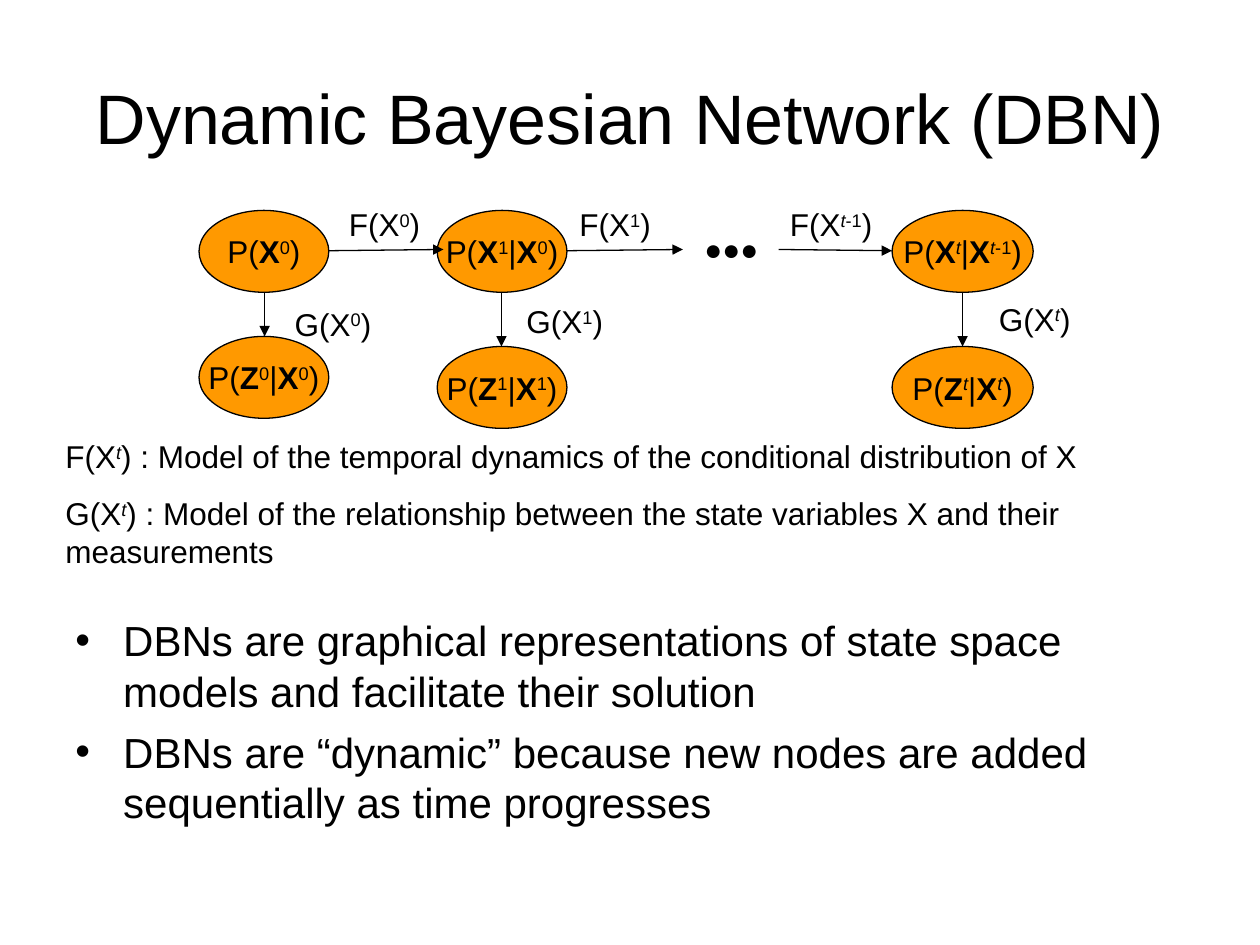
from pptx import Presentation
from pptx.dml.color import RGBColor
from pptx.enum.shapes import MSO_CONNECTOR, MSO_SHAPE
from pptx.enum.text import MSO_ANCHOR, PP_ALIGN
from pptx.oxml.ns import qn
from pptx.util import Inches, Pt
from lxml.etree import SubElement

BLACK = RGBColor(0x00, 0x00, 0x00)
ORANGE = RGBColor(0xFF, 0x99, 0x00)
NODE_TOP, NODE_WIDTH, NODE_HEIGHT = 1.67, 1.03, 0.65

NODES = [
    (1.58, NODE_TOP, NODE_WIDTH, "P(*X*^0^)"),
    (3.47, NODE_TOP, NODE_WIDTH, "P(*X*^1^|*X*^0^)"),
    (7.08, NODE_TOP, 1.12, "P(*X*^*t*^|*X*^*t*-1^)"),
    (1.58, 2.67, NODE_WIDTH, "P(*Z*^0^|*X*^0^)"),
    (3.47, 2.75, NODE_WIDTH, "P(*Z*^1^|*X*^1^)"),
    (7.08, 2.75, 1.12, "P(*Z*^*t*^|*X*^*t*^)"),
]
ARROWS = [
    (2.61, 1.99, 3.52, 1.98),
    (4.5, 1.99, 5.42, 1.98),
    (6.18, 1.98, 7.08, 1.99),
    (2.1, 2.32, 2.1, 2.67),
    (3.98, 2.32, 3.98, 2.75),
    (7.64, 2.32, 7.64, 2.75),
]
LABELS = [
    (2.67, 1.58, "F(X^0^)"),
    (4.5, 1.58, "F(X^1^)"),
    (6.17, 1.58, "F(X^*t*-1^)"),
    (2.24, 2.37, "G(X^0^)"),
    (4.08, 2.35, "G(X^1^)"),
    (7.83, 2.33, "G(X^*t*^)"),
]
DEFINITIONS = [
    "F(X^*t*^) : Model of the temporal dynamics of the conditional distribution of X",
    "G(X^*t*^) : Model of the relationship between the state variables X and their measurements",
]
BULLETS = [
    "DBNs are graphical representations of state space models and facilitate their solution",
    "DBNs are “dynamic” because new nodes are added sequentially as time progresses",
]


def add_spans(paragraph, markup, size):
    """Write markup: ^raised^ text, with *stars* for bold, or italic when raised."""
    for raised_index, part in enumerate(markup.split("^")):
        raised = raised_index % 2 == 1
        for marked_index, text in enumerate(part.split("*")):
            if not text:
                continue
            marked = marked_index % 2 == 1
            span = paragraph.add_run()
            span.text = text
            span.font.name = "Arial"
            span.font.size = Pt(size)
            span.font.color.rgb = BLACK
            span.font.bold = marked and not raised
            span.font.italic = marked and raised
            if raised:
                span.font._element.set("baseline", "30000")


def add_bullet(paragraph):
    """Give a paragraph a round bullet with a hanging indent."""
    properties = paragraph._p.get_or_add_pPr()
    properties.set("marL", str(Inches(0.38)))
    properties.set("indent", str(-Inches(0.38)))
    SubElement(properties, qn("a:buFont")).set("typeface", "Arial")
    SubElement(properties, qn("a:buChar")).set("char", "•")


def add_text(page, left, top, width, height, lines, size=18, align=PP_ALIGN.LEFT,
             anchor=MSO_ANCHOR.TOP, gap=0, bulleted=False):
    """Add a wrapping text box with one paragraph per line."""
    box = page.shapes.add_textbox(Inches(left), Inches(top), Inches(width), Inches(height))
    frame = box.text_frame
    frame.word_wrap = True
    frame.vertical_anchor = anchor
    for index, line in enumerate(lines):
        paragraph = frame.add_paragraph() if index else frame.paragraphs[0]
        paragraph.alignment = align
        if index:
            paragraph.space_before = Pt(gap)
        if bulleted:
            add_bullet(paragraph)
        add_spans(paragraph, line, size)


def add_node(page, left, top, width, markup):
    """Add an orange ellipse holding a probability."""
    node = page.shapes.add_shape(
        MSO_SHAPE.OVAL, Inches(left), Inches(top), Inches(width), Inches(NODE_HEIGHT))
    node.shadow.inherit = False
    node.fill.solid()
    node.fill.fore_color.rgb = ORANGE
    node.line.color.rgb = BLACK
    node.line.width = Pt(0.75)
    frame = node.text_frame
    frame.word_wrap = False
    frame.margin_left = frame.margin_right = frame.margin_top = frame.margin_bottom = 0
    frame.vertical_anchor = MSO_ANCHOR.MIDDLE
    frame.paragraphs[0].alignment = PP_ALIGN.CENTER
    add_spans(frame.paragraphs[0], markup, 18)


def add_arrow(page, *ends):
    """Add a thin black line ending in a triangle."""
    arrow = page.shapes.add_connector(MSO_CONNECTOR.STRAIGHT, *map(Inches, ends))
    arrow.line.color.rgb = BLACK
    arrow.line.width = Pt(0.75)
    SubElement(arrow.line._get_or_add_ln(), qn("a:tailEnd")).set("type", "triangle")
    SubElement(arrow._element.spPr, qn("a:effectLst"))


def main():
    """Build the slide and save it."""
    deck = Presentation()
    deck.slide_width, deck.slide_height = Inches(10), Inches(7.5)
    page = deck.slides.add_slide(deck.slide_layouts[6])
    add_text(page, 0.5, 0.3, 9, 1.25, ["Dynamic Bayesian Network (DBN)"], 40,
             PP_ALIGN.CENTER, MSO_ANCHOR.MIDDLE)
    add_text(page, 0.5, 4.83, 9, 1.87, BULLETS, 24, gap=6, bulleted=True)
    for node in NODES:
        add_node(page, *node)
    add_text(page, 5.32, 1.78, 0.97, 0.38, ["●●●"], 17, PP_ALIGN.CENTER, MSO_ANCHOR.MIDDLE)
    for arrow in ARROWS:
        add_arrow(page, *arrow)
    for left, top, markup in LABELS:
        add_text(page, left, top, 0.92, 0.4, [markup])
    add_text(page, 0.42, 3.42, 9.08, 1.16, DEFINITIONS, gap=11.2)
    deck.save("out.pptx")


if __name__ == "__main__":
    main()
